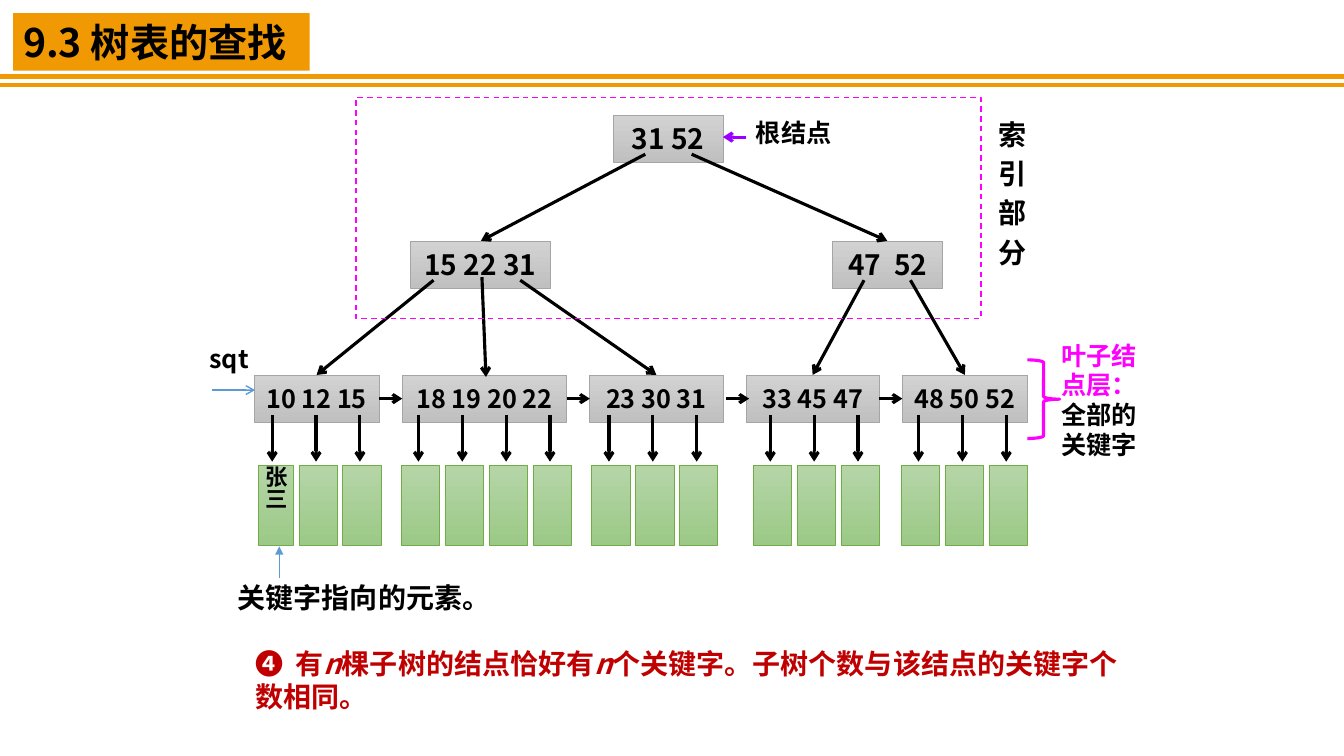
"""Build the slide on tree table lookup with its index tree, leaves and records."""
from dataclasses import dataclass

import pptx
import pptx.dml.color
import pptx.enum.dml
import pptx.enum.shapes
import pptx.enum.text
import pptx.oxml.ns
import pptx.oxml.xmlchemy
import pptx.shapes.base
import pptx.slide
import pptx.util

FONT = "Noto Sans CJK SC"
BLACK, ORANGE, PINK, BLUE = "000000", "F19903", "FF00FF", "5B9BD5"
LEFT = pptx.enum.text.PP_ALIGN.LEFT
CENTER = pptx.enum.text.PP_ALIGN.CENTER
TOP = pptx.enum.text.MSO_ANCHOR.TOP
MIDDLE = pptx.enum.text.MSO_ANCHOR.MIDDLE
RECT = pptx.enum.shapes.MSO_SHAPE.RECTANGLE
BRACE = pptx.enum.shapes.MSO_SHAPE.RIGHT_BRACE
STRAIGHT = pptx.enum.shapes.MSO_CONNECTOR.STRAIGHT


@dataclass
class Run:
    text: str
    size: float = 18
    color: str = BLACK
    slant: bool = False


@dataclass
class Node:
    text: str
    left: float
    top: float
    width: float
    size: float


@dataclass
class Link:
    x1: float
    y1: float
    x2: float
    y2: float
    color: str = BLACK
    width: float = 2.25
    head: str = "arrow"


@dataclass
class Group:
    left: float
    count: int


@dataclass
class Label:
    box: tuple
    paras: list
    pitch: float = 0
    gap: float = 0


def hue(code: str) -> pptx.dml.color.RGBColor:
    return pptx.dml.color.RGBColor.from_string(code)


def place(shape: pptx.shapes.base.BaseShape, box: tuple) -> None:
    shape.left, shape.top, shape.width, shape.height = map(pptx.util.Inches, box)


def write(shape: pptx.shapes.base.BaseShape, paras: list, align: int = LEFT,
          anchor: int = TOP, inset: tuple = (0.1, 0.05, 0.1, 0.05),
          pitch: float = 0, gap: float = 0, wrap: bool = True) -> None:
    frame = shape.text_frame
    frame.auto_size = pptx.enum.text.MSO_AUTO_SIZE.NONE
    frame.word_wrap = wrap
    frame.vertical_anchor = anchor
    (frame.margin_left, frame.margin_top,
     frame.margin_right, frame.margin_bottom) = map(pptx.util.Inches, inset)
    for i, runs in enumerate(paras):
        para = frame.add_paragraph() if i else frame.paragraphs[0]
        para.alignment = align
        para.line_spacing = pptx.util.Pt(pitch or round(runs[0].size * 1.18, 1))
        para.space_before = pptx.util.Pt(gap if i else 0)
        for item in runs:
            run = para.add_run()
            run.text = item.text
            font = run.font
            font.name, font.size = FONT, pptx.util.Pt(item.size)
            font.bold, font.italic = True, item.slant
            font.color.rgb = hue(item.color)
            east = pptx.oxml.xmlchemy.OxmlElement("a:ea")
            east.set("typeface", FONT)
            font._element.append(east)


def draw(slide: pptx.slide.Slide, box: tuple, edge: str, width: float,
         shade: tuple = (), kind: int = RECT) -> pptx.shapes.base.BaseShape:
    shape = slide.shapes.add_shape(kind, *map(pptx.util.Inches, box))
    shape.shadow.inherit = False
    shape.line.color.rgb = hue(edge)
    shape.line.width = pptx.util.Pt(width)
    if shade:
        shape.fill.gradient()
        shape.fill.gradient_angle = 270
        for stop, code in zip(shape.fill.gradient_stops, shade):
            stop.color.rgb = hue(code)
    else:
        shape.fill.background()
    return shape


def join(slide: pptx.slide.Slide, link: Link) -> None:
    ends = map(pptx.util.Inches, (link.x1, link.y1, link.x2, link.y2))
    line = slide.shapes.add_connector(STRAIGHT, *ends)
    line.line.color.rgb = hue(link.color)
    line.line.width = pptx.util.Pt(link.width)
    if link.head:
        tail = pptx.oxml.xmlchemy.OxmlElement("a:tailEnd")
        tail.set("type", link.head)
        line.line._get_or_add_ln().append(tail)
    line._element.spPr.append(pptx.oxml.xmlchemy.OxmlElement("a:effectLst"))


def fill_text(slide: pptx.slide.Slide) -> None:
    title, body = slide.shapes.title, slide.placeholders[1]
    place(title, (0.13, 0.13, 2.94, 0.57))
    title.fill.solid()
    title.fill.fore_color.rgb = hue(ORANGE)
    write(title, [[Run("9.3 树表的查找", 28)]], anchor=MIDDLE, wrap=False)
    place(body, (2.45, 6.3, 8.83, 0.91))
    red = "C00000"
    parts = ("❹  有", "n", "棵子树的结点恰好有", "n",
             "个关键字。子树个数与该结点的关键字个数相同。")
    write(body, [[Run(part, 20, red, part == "n") for part in parts]],
          inset=(0.08, 0.12, 0.1, 0.12))
    props = body.text_frame.paragraphs[0]._p.get_or_add_pPr()
    props.set("marL", "0")
    props.set("indent", "0")
    props.append(pptx.oxml.xmlchemy.OxmlElement("a:buNone"))


NODES = [
    Node("31 52", 6.08, 1.14, 1.09, 20), Node("15 22 31", 4.07, 2.39, 1.39, 20),
    Node("47  52", 8.26, 2.39, 1.09, 20), Node("10 12 15", 2.52, 3.72, 1.24, 18),
    Node("18 19 20 22", 3.99, 3.72, 1.63, 18), Node("23 30 31", 5.85, 3.72, 1.32, 18),
    Node("33 45 47", 7.4, 3.72, 1.32, 18), Node("48 50 52", 8.95, 3.72, 1.24, 18),
]
LINKS = [Link(x, 3.955, x + 0.23, 3.955) for x in (3.76, 5.62, 7.2, 8.72)] + [
    Link(4.3, 2.78, 3.14, 3.72), Link(4.78, 2.75, 4.82, 3.74),
    Link(5.16, 2.78, 6.51, 3.72), Link(8.57, 2.78, 8.06, 3.72),
    Link(9.03, 2.78, 9.57, 3.72), Link(6.4, 1.53, 4.77, 2.39),
    Link(6.86, 1.53, 8.8, 2.39), Link(2.77, 5.73, 2.77, 5.42, BLUE, 1, "triangle"),
    Link(7.4, 1.36, 7.17, 1.36, "9900FF"), Link(2.1, 3.87, 2.53, 3.87, BLUE, 1),
]
GROUPS = [Group(2.53, 3), Group(3.98, 4), Group(5.87, 3), Group(7.47, 3), Group(8.94, 3)]
LABELS = [
    Label((2.26, 5.72, 2.89, 0.44), [[Run("关键字指向的元素。", 20)]]),
    Label((9.81, 1.2, 0.4, 1.61), [[Run(sign, 20)] for sign in "索引部分"], 18, 10),
    Label((7.4, 1.12, 1.16, 0.4), [[Run("根结点")]]),
    Label((1.98, 3.36, 0.63, 0.4), [[Run("sqt")]]),
    Label((10.43, 3.33, 1.07, 1.31),
          [[Run("叶子结点层：", color=PINK), Run("全部的关键字")]]),
]


def main() -> None:
    deck = pptx.Presentation()
    deck.slide_width, deck.slide_height = map(pptx.util.Inches, (13.33, 7.5))
    slide = deck.slides.add_slide(deck.slide_layouts[1])
    fill_text(slide)
    for y in (0.76, 0.84):
        join(slide, Link(0, y, 13.33, y, ORANGE, 3, ""))
    for node in NODES:
        box = (node.left, node.top, node.width, 0.47)
        shape = draw(slide, box, "A5A5A5", 0.5, ("D2D2D2", "C0C0C0"))
        write(shape, [[Run(node.text, node.size)]], CENTER, MIDDLE, (0, 0.05, 0, 0.05))
    for link in LINKS:
        join(slide, link)
    for group in GROUPS:
        for i in range(group.count):
            x = group.left + 0.435 * i
            first = group is GROUPS[0] and i == 0
            join(slide, Link(x + 0.17, 4.115, x + 0.17, 4.58))
            box = (x + 0.03, 4.62, 0.35, 0.79) if first else (x, 4.62, 0.38, 0.79)
            card = draw(slide, box, "70AD47", 0.5, ("B5D5A7", "9CC987"))
            if first:
                write(card, [[Run("张三", 16)]], inset=(0.04, 0, 0.04, 0))
                card.text_frame._txBody.bodyPr.set("vert", "eaVert")
    frame = draw(slide, (3.53, 0.97, 6.2, 2.19), PINK, 1)
    frame.line.dash_style = pptx.enum.dml.MSO_LINE.DASH
    for label in LABELS:
        note = slide.shapes.add_textbox(*map(pptx.util.Inches, label.box))
        write(note, label.paras, pitch=label.pitch, gap=label.gap)
    draw(slide, (10.19, 3.57, 0.32, 0.78), PINK, 2.25, kind=BRACE)
    deck.save("out.pptx")


if __name__ == "__main__":
    main()
